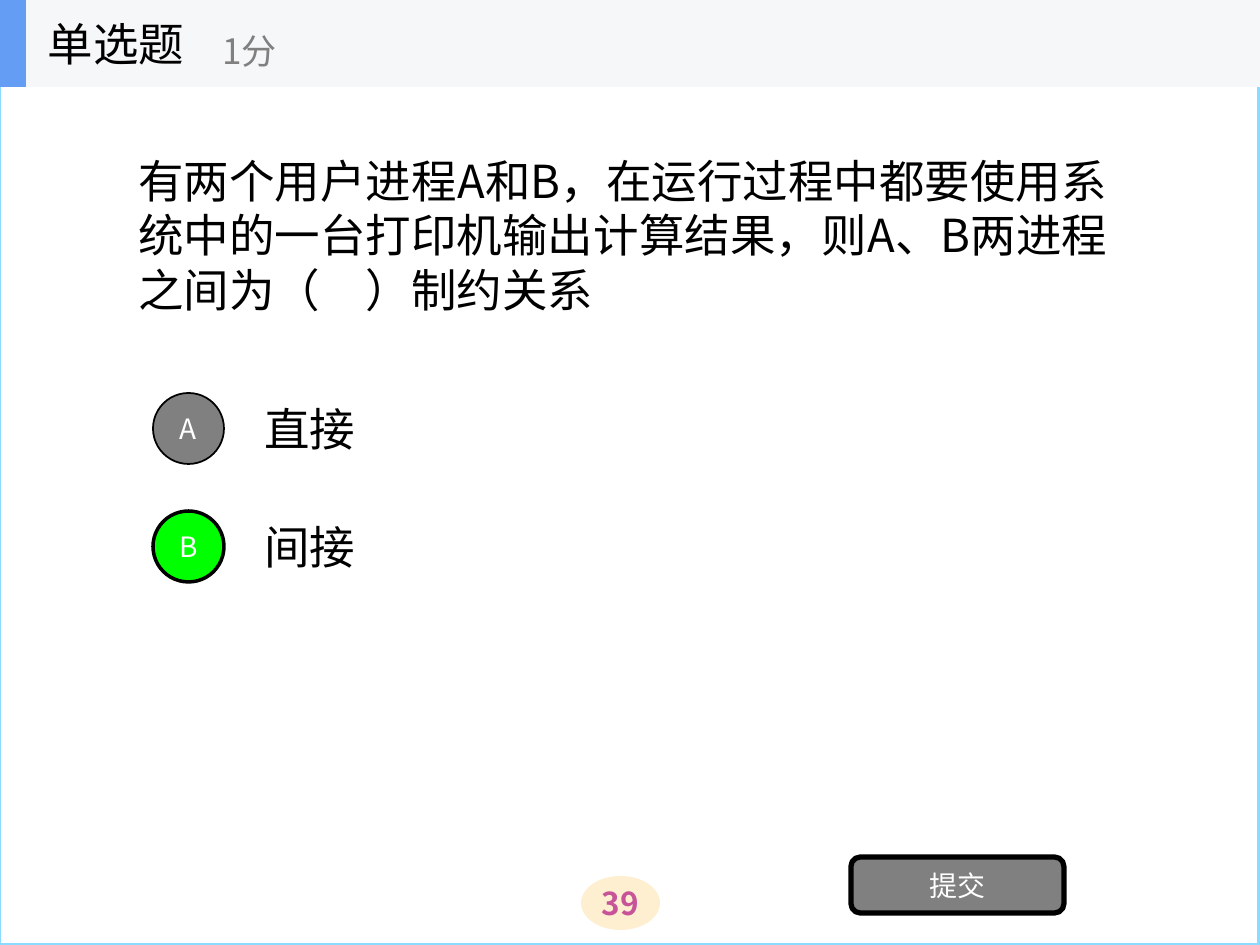
from dataclasses import dataclass

import lxml.etree
import pptx
import pptx.dml.color
import pptx.enum.shapes
import pptx.enum.text
import pptx.oxml.ns
import pptx.util

PX = 914400 / 126
FONT = "Noto Sans CJK SC"
BLACK, GREY, WHITE = "000000", "808080", "FFFFFF"
SHAPE = pptx.enum.shapes.MSO_SHAPE
ALIGN = pptx.enum.text.PP_ALIGN


@dataclass
class Box:
    left: int
    top: int
    width: int
    height: int

    def emu(self) -> list[int]:
        return [round(n * PX) for n in (self.left, self.top, self.width, self.height)]


@dataclass
class Option:
    letter: str
    answer: str
    fill: str
    line_width: int


def rgb(colour: str):
    return pptx.dml.color.RGBColor.from_string(colour)


def write(shape, text: str, size: int, colour: str, align=ALIGN.LEFT,
          bold: bool = False, inset: float | None = None) -> None:
    frame = shape.text_frame
    frame_format = {"word_wrap": True, "auto_size": pptx.enum.text.MSO_AUTO_SIZE.NONE,
                    "vertical_anchor": pptx.enum.text.MSO_ANCHOR.MIDDLE}
    if inset is not None:
        for side in ("left", "top", "right", "bottom"):
            frame_format[f"margin_{side}"] = pptx.util.Inches(inset)
    for name, value in frame_format.items():
        setattr(frame, name, value)
    paragraph = frame.paragraphs[0]
    paragraph.alignment = align
    run = paragraph.add_run()
    run.text = text
    font_format = {"name": FONT, "size": pptx.util.Pt(size), "bold": bold}
    for name, value in font_format.items():
        setattr(run.font, name, value)
    run.font.color.rgb = rgb(colour)
    # Chinese characters take their font from the East Asian slot
    east_asian = lxml.etree.SubElement(run.font._element, pptx.oxml.ns.qn("a:ea"))
    east_asian.set("typeface", FONT)


def add_label(slide, box: Box, text: str, size: int, colour: str = BLACK) -> None:
    write(slide.shapes.add_textbox(*box.emu()), text, size, colour)


def add_panel(slide, kind, box: Box, fill: str | None = None,
              line: str | None = None, line_width: float = 1):
    panel = slide.shapes.add_shape(kind, *box.emu())
    panel.shadow.inherit = False
    if fill:
        panel.fill.solid()
        panel.fill.fore_color.rgb = rgb(fill)
    else:
        panel.fill.background()
    if line:
        panel.line.color.rgb = rgb(line)
        panel.line.width = pptx.util.Pt(line_width)
    else:
        panel.line.fill.background()
    return panel


def main() -> None:
    deck = pptx.Presentation()
    deck.slide_width, deck.slide_height = Box(0, 0, 1260, 945).emu()[2:]
    slide = deck.slides.add_slide(deck.slide_layouts[5])

    # Page number and frame
    page_number = add_panel(slide, SHAPE.OVAL, Box(581, 876, 79, 54), "FFEFD1")
    write(page_number, "39", 18, "C75399", ALIGN.CENTER, bold=True, inset=0)
    add_panel(slide, SHAPE.RECTANGLE, Box(-1, 0, 1260, 945), line="8ADBFF", line_width=2.25)

    # Question; the bracketed blank is one full-width space
    add_label(slide, Box(126, 87, 1008, 295),
              "有两个用户进程A和B，在运行过程中都要使用系统中的一台打印机输出计算结果，"
              "则A、B两进程之间为（　）制约关系", 26)

    # Answer options
    options = [Option("A", "直接", GREY, 1), Option("B", "间接", "00FF00", 2)]
    for row, option in enumerate(options):
        top = 384 + row * 118
        add_label(slide, Box(252, top, 882, 88), option.answer, 26)
        badge = add_panel(slide, SHAPE.OVAL, Box(153, top + 9, 71, 71),
                          option.fill, BLACK, option.line_width)
        write(badge, option.letter, 16, WHITE, ALIGN.CENTER)

    # Submit button
    submit = add_panel(slide, SHAPE.ROUNDED_RECTANGLE, Box(851, 857, 213, 56), GREY, BLACK, 3)
    write(submit, "提交", 16, WHITE, ALIGN.CENTER)

    # Header bar with the title on top of it
    add_panel(slide, SHAPE.RECTANGLE, Box(0, 0, 1260, 87), "F6F7F8")
    add_panel(slide, SHAPE.RECTANGLE, Box(0, 0, 26, 87), "639EF4")
    title = slide.shapes.title
    title.left, title.top, title.width, title.height = Box(35, 0, 262, 87).emu()
    write(title, "单选题", 26, BLACK)
    slide.shapes.element.append(title.element)
    add_label(slide, Box(210, 15, 315, 71), "1分", 20, GREY)

    deck.save("out.pptx")


if __name__ == "__main__":
    main()
